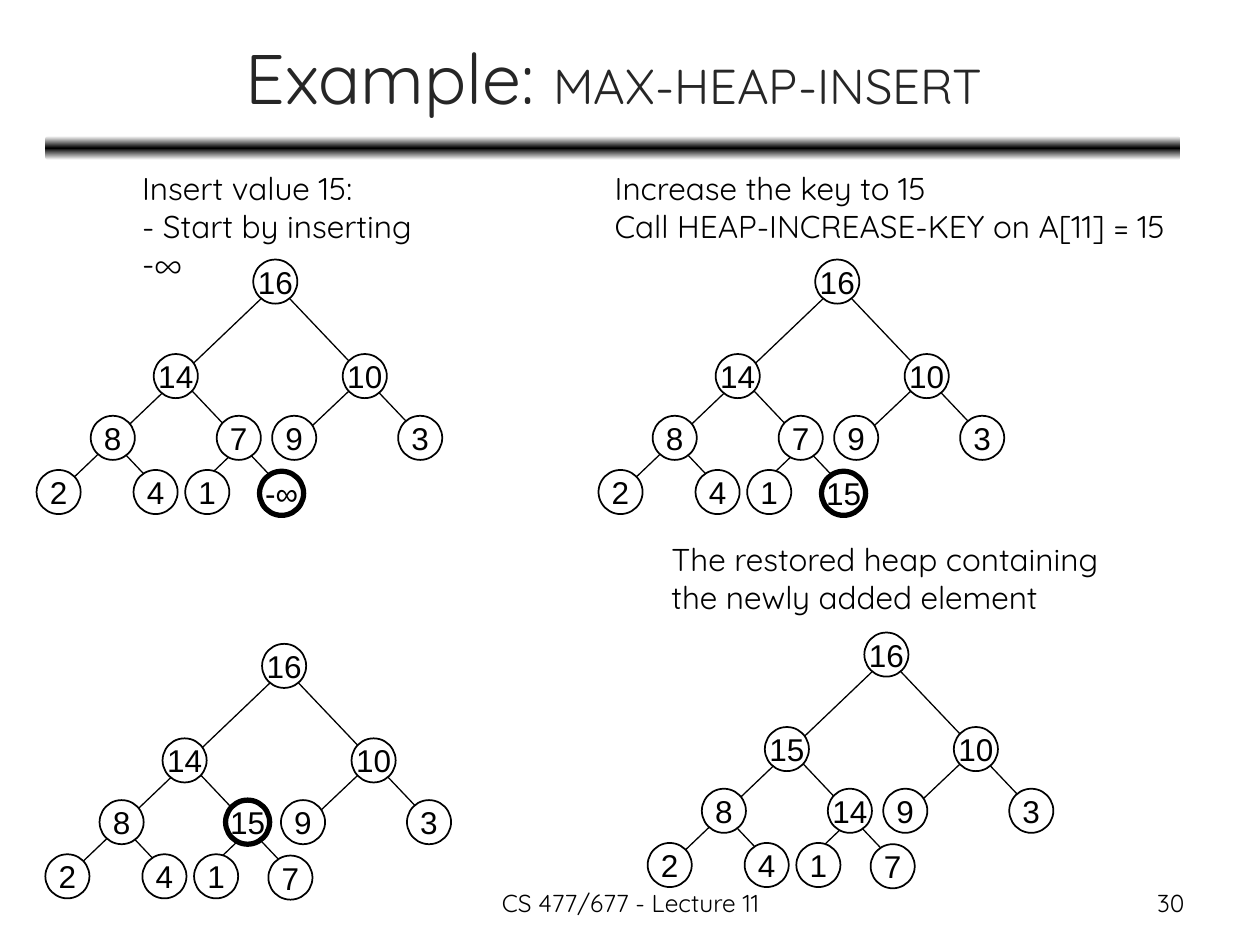
import copy

import pptx
import pptx.dml.color
import pptx.enum.shapes
import pptx.enum.text
import pptx.oxml
import pptx.oxml.ns
import pptx.util

COLUMNS, ROWS = 100, 75
WIDTH, HEIGHT = pptx.util.Inches(10), pptx.util.Inches(7.5)
COLORS = {"ink": "000000", "paper": "FFFFFF", "title": "262626"}
ALIGN = pptx.enum.text.PP_ALIGN
ANCHOR = pptx.enum.text.MSO_ANCHOR
SHAPE = pptx.enum.shapes.MSO_SHAPE
NODE_SIZE = 3.5

NODE_OFFSETS = [
    (0, 0),
    (-7.9, 7.5), (7.1, 7.5),
    (-12.9, 12.4), (-2.9, 12.4), (1.5, 12.4), (11.5, 12.4),
    (-17.2, 16.7), (-9.5, 16.7), (-5.4, 16.7), (0.5, 16.8),
]
EDGE_OFFSETS = [
    ((3.1, 19), (-2.2, 13.4)),
    ((-4.8, 18.4), (-0.3, 14.1)),
    ((3.3, 14.5), (8.9, 9.2)),
    ((-6.9, 18.9), (-12.2, 13.3)),
    ((-1, 14.5), (-6.3, 8.9)),
    ((14.1, 14.9), (0.8, 0.9)),
    ((-15.4, 18.4), (2.1, 1.7)),
]
HEAPS = [
    {"root": (20.1, 20.6), "marked": 10,
     "keys": ["16", "14", "10", "8", "7", "9", "3", "2", "4", "1", "-∞"],
     "area": (10.3, 12.9, 26, 7.1),
     "caption": ["Insert value 15:", "- Start by inserting -∞"]},
    {"root": (64.7, 20.6), "marked": 10,
     "keys": ["16", "14", "10", "8", "7", "9", "3", "2", "4", "1", "15"],
     "area": (47.8, 12.9, 48.9, 7.1),
     "caption": ["Increase the key to 15",
                 "Call HEAP-INCREASE-KEY on A[11] = 15"]},
    {"root": (20.8, 51.1), "marked": 4,
     "keys": ["16", "14", "10", "8", "15", "9", "3", "2", "4", "1", "7"]},
    {"root": (68.6, 50.2), "marked": None,
     "keys": ["16", "15", "10", "8", "14", "9", "3", "2", "4", "1", "7"],
     "area": (52.3, 42.4, 38.2, 7.1),
     "caption": ["The restored heap containing", "the newly added element"]},
]


def rgb(name):
    """Return the named colour."""
    return pptx.dml.color.RGBColor.from_string(COLORS[name])


def cells(*lengths):
    """Turn alternating columns and rows into slide lengths."""
    units = (WIDTH / COLUMNS, HEIGHT / ROWS)
    return [round(length * units[index % 2]) for index, length in enumerate(lengths)]


def apply(target, values):
    """Set each attribute of the target from a dict."""
    for name, value in values.items():
        setattr(target, name, value)


def write(para, text, size, font="Quicksand", color="ink"):
    """Add a formatted run to a paragraph."""
    span = para.add_run()
    span.text = text
    apply(span.font, {"name": font, "size": pptx.util.Pt(size)})
    span.font.color.rgb = rgb(color)


def add_title(page):
    """Fill and place the title placeholder."""
    title = page.shapes.title
    apply(title, dict(zip(("left", "top", "width", "height"), cells(3.7, 1.1, 90, 9.9))))
    apply(title.text_frame, {"vertical_anchor": ANCHOR.MIDDLE, "word_wrap": True,
                             "auto_size": pptx.enum.text.MSO_AUTO_SIZE.NONE})
    para = title.text_frame.paragraphs[0]
    para.alignment = ALIGN.CENTER
    write(para, "Example: ", 40, color="title")
    write(para, "MAX-HEAP-INSERT", 28, color="title")


def add_rule(page):
    """Draw the blurred bar below the title."""
    bar = page.shapes.add_shape(SHAPE.ROUNDED_RECTANGLE, *cells(3.6, 10.8, 90.1, 1.9))
    bar.shadow.inherit = False
    bar.line.fill.background()
    bar.fill.gradient()
    bar.fill.gradient_angle = 90
    stop_list = next(bar._element.iter(pptx.oxml.ns.qn("a:gsLst")))
    stop_list.append(copy.deepcopy(stop_list[0]))
    for index, (stop, color) in enumerate(zip(bar.fill.gradient_stops, ("paper", "ink", "paper"))):
        stop.position = index / 2
        stop.color.rgb = rgb(color)


def add_text(parent, area, lines, size=18, align=ALIGN.LEFT):
    """Add a text box with one paragraph per line."""
    box = parent.shapes.add_textbox(*cells(*area))
    box.text_frame.word_wrap = True
    for index, line in enumerate(lines):
        para = box.text_frame.add_paragraph() if index else box.text_frame.paragraphs[0]
        para.alignment = align
        write(para, line, size)


def add_edge(group, start, end):
    """Draw one thin tree edge."""
    edge = group.shapes.add_connector(
        pptx.enum.shapes.MSO_CONNECTOR.STRAIGHT, *cells(*start, *end))
    edge.line.width = pptx.util.Pt(0.75)
    edge.line.color.rgb = rgb("ink")
    edge._element.spPr.append(pptx.oxml.parse_xml(
        "<a:effectLst %s/>" % pptx.oxml.ns.nsdecls("a")))


def add_node(group, corner, key, marked):
    """Draw one heap node, with a heavy outline if marked."""
    node = group.shapes.add_shape(SHAPE.OVAL, *cells(*corner, NODE_SIZE, NODE_SIZE))
    node.shadow.inherit = False
    node.fill.solid()
    node.fill.fore_color.rgb = rgb("paper")
    node.line.color.rgb = rgb("ink")
    node.line.width = pptx.util.Pt(3 if marked else 1)
    apply(node.text_frame, {"vertical_anchor": ANCHOR.MIDDLE, "word_wrap": False})
    para = node.text_frame.paragraphs[0]
    para.alignment = ALIGN.CENTER
    write(para, key, 18, font="Arial")


def add_heap(page, heap):
    """Draw a heap as a group of edges, nodes and its caption."""
    group = page.shapes.add_group_shape()
    left, top = heap["root"]
    for edge in EDGE_OFFSETS:
        add_edge(group, *[(left + x, top + y) for x, y in edge])
    for index, ((x, y), key) in enumerate(zip(NODE_OFFSETS, heap["keys"])):
        add_node(group, (left + x, top + y), key, index == heap["marked"])
    if "caption" in heap:
        add_text(group, heap["area"], heap["caption"])


def main():
    """Build and save the slide."""
    deck = pptx.Presentation()
    apply(deck, {"slide_width": WIDTH, "slide_height": HEIGHT})
    page = deck.slides.add_slide(deck.slide_layouts.get_by_name("Title Only"))
    add_rule(page)
    add_title(page)
    for heap in HEAPS:
        add_heap(page, heap)
    add_text(page, (34.2, 70, 31.7, 3.5), ["CS 477/677 - Lecture 11"], 14, ALIGN.CENTER)
    add_text(page, (71.7, 70, 23.3, 3.5), ["30"], 14, ALIGN.RIGHT)
    deck.save("out.pptx")


if __name__ == "__main__":
    main()
